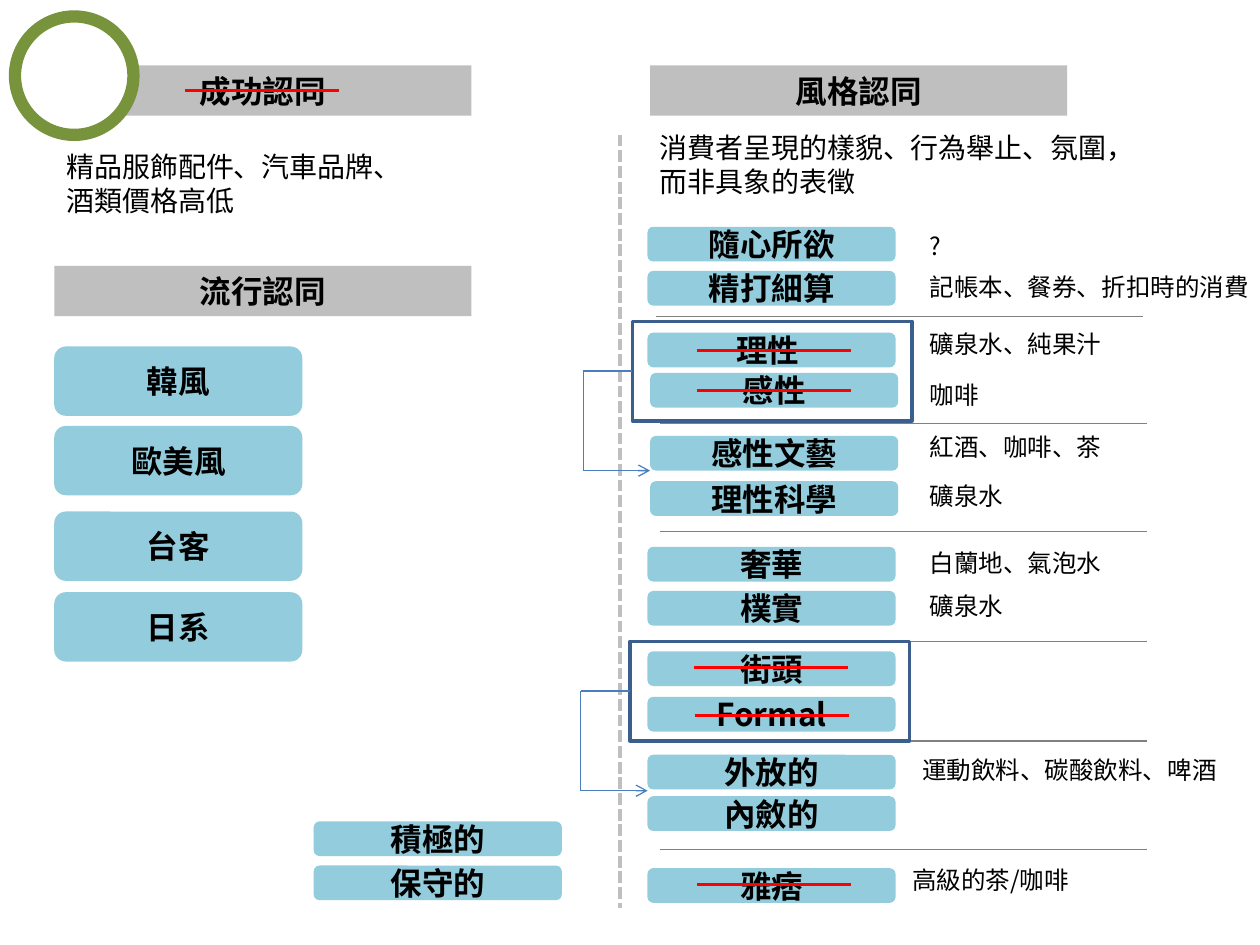
from lxml.etree import SubElement
from pptx import Presentation
from pptx.dml.color import RGBColor
from pptx.enum.dml import MSO_LINE
from pptx.enum.shapes import MSO_CONNECTOR, MSO_SHAPE
from pptx.enum.text import MSO_ANCHOR, PP_ALIGN
from pptx.oxml.ns import qn
from pptx.util import Pt

FONT = "Noto Sans CJK SC"
BLACK, WHITE, RED = "000000", "FFFFFF", "FF0000"
SILVER, GRAY, AQUA, GREEN = "BFBFBF", "808080", "93CDDD", "77933C"
FRAME_BLUE, ARROW_BLUE = "3A5F8C", "4B7EBC"

TAG_WIDTH, SMALL_TAG, LARGE_TAG = 141.8, 19.8, 39.6
FRAME_WIDTH, FRAME_HEIGHT = 159.8, 56.9
STRIKE_WIDTH = 87.8

HEADINGS = [("成功認同", 31, 37.4), ("風格認同", 371.5, 37.4), ("流行認同", 31, 151.9)]
TREND_TAGS = [("韓風", 198), ("歐美風", 243.4), ("台客", 292.3), ("日系", 338.4)]
STYLE_TAGS = [
    ("隨心所欲", 370, 129.6), ("精打細算", 370, 154.8),
    ("理性 ", 370, 190.1), ("感性", 371.5, 213.1),
    ("感性文藝", 371.5, 249.1), ("理性科學", 371.5, 275),
    ("奢華", 370, 312.5), ("樸實", 370, 337.7),
    ("街頭", 370, 372.2), ("Formal", 370, 398.2),
    ("外放的", 370, 431.3), ("內斂的", 370, 455), ("雅痞", 370, 496.1),
    ("積極的", 179.3, 469.4), ("保守的", 179.3, 494.6),
]
NOTES = [
    ("?", 524.2, 128.2, 136), ("記帳本、餐券、折扣時的消費", 524.2, 151.9, 225.4),
    ("礦泉水、純果汁", 524.2, 184.3, 136), ("咖啡", 524.2, 213.8, 136),
    ("紅酒、咖啡、茶", 524.2, 243.4, 136), ("礦泉水", 524.2, 271.4, 136),
    ("白蘭地、氣泡水", 524.2, 309.6, 136), ("礦泉水", 524.2, 334.1, 136),
    ("運動飲料、碳酸飲料、啤酒", 519.8, 427.7, 229.7),
    ("高級的茶/咖啡", 514.1, 491, 136),
]
DESCRIPTIONS = [
    ("精品服飾配件、汽車品牌、酒類價格高低", 31, 82.1, 198.7),
    ("消費者呈現的樣貌、行為舉止、氛圍，而非具象的表徵", 370, 71.3, 290.9),
]
RULES = [(375.1, 180.7), (377.3, 241.9), (377.3, 303.8),
         (377.3, 366.5), (377.3, 423.4), (377.3, 485.3)]
STRIKES = [(105.8, 51.8), (398.2, 200.2), (398.2, 223.2),
           (396.7, 381.6), (397.4, 409), (398.2, 505.4)]
FRAMES = [(361.4, 183.6), (360, 366.5)]


def color(value):
    """Turn a hex string into a colour."""
    return RGBColor.from_string(value)


def apply(target, values):
    """Set every attribute of a format dict on the target."""
    for name, value in values.items():
        setattr(target, name, value)


def write(shape, text, size, bold=False, **frame_format):
    """Write one paragraph of text into a shape."""
    frame = shape.text_frame
    apply(frame, {"word_wrap": True, **frame_format})
    para = frame.paragraphs[0]
    para.alignment = PP_ALIGN.CENTER if bold else PP_ALIGN.LEFT
    span = para.add_run()
    span.text = text
    apply(span.font, {"size": Pt(size), "bold": bold, "name": FONT})
    span.font.color.rgb = color(BLACK)
    SubElement(span.font._element, qn("a:ea"), typeface=FONT)


def add_box(page, kind, bounds, fill=None, line=None, width=0):
    """Add a preset shape with an optional fill and outline."""
    box = page.shapes.add_shape(kind, *map(Pt, bounds))
    box.shadow.inherit = False
    if fill:
        box.fill.solid()
        box.fill.fore_color.rgb = color(fill)
    else:
        box.fill.background()
    if line:
        box.line.color.rgb = color(line)
        box.line.width = Pt(width)
    else:
        box.line.fill.background()
    return box


def add_heading(page, text, left, top):
    """Add a grey heading bar."""
    bar = add_box(page, MSO_SHAPE.RECTANGLE, (left, top, 238.3, 28.8), SILVER)
    write(bar, text, 18, True, vertical_anchor=MSO_ANCHOR.TOP)


def add_tag(page, text, left, top, height):
    """Add a rounded blue tag."""
    bounds = (left, top, TAG_WIDTH, height)
    tag = add_box(page, MSO_SHAPE.ROUNDED_RECTANGLE, bounds, AQUA)
    write(tag, text, 18, True, vertical_anchor=MSO_ANCHOR.MIDDLE)


def add_text(page, text, left, top, width, height, size):
    """Add plain wrapped text."""
    box = page.shapes.add_textbox(*map(Pt, (left, top, width, height)))
    write(box, text, size)


def add_line(page, start, end, stroke, width, dash=None, arrow=False):
    """Add a straight line, dashed or with an arrowhead if asked."""
    line = page.shapes.add_connector(MSO_CONNECTOR.STRAIGHT, *map(Pt, start + end))
    line.line.color.rgb = color(stroke)
    apply(line.line, {"width": Pt(width), "dash_style": dash})
    properties = line._element.spPr
    if arrow:
        SubElement(properties.find(qn("a:ln")), qn("a:tailEnd"), type="arrow")
    SubElement(properties, qn("a:effectLst"))


def add_replacement(page, left, top):
    """Frame a pair of tags and lead an elbow arrow to the pair below."""
    bounds = (left, top, FRAME_WIDTH, FRAME_HEIGHT)
    add_box(page, MSO_SHAPE.RECTANGLE, bounds, line=FRAME_BLUE, width=2)
    middle = top + FRAME_HEIGHT / 2
    corner, target = left - 28.1, middle + FRAME_HEIGHT
    points = [(left, middle), (corner, middle), (corner, target), (left + 10.1, target)]
    for start, end in zip(points, points[1:]):
        add_line(page, start, end, ARROW_BLUE, 0.75, arrow=end == points[-1])


def main():
    """Build the slide and save it."""
    deck = Presentation()
    apply(deck, {"slide_width": Pt(720), "slide_height": Pt(540)})
    page = deck.slides.add_slide(deck.slide_layouts[6])

    add_line(page, (354.2, 77), (354.2, 519.1), SILVER, 2.25, MSO_LINE.SQUARE_DOT)
    for heading in HEADINGS:
        add_heading(page, *heading)
    for text, top in TREND_TAGS:
        add_tag(page, text, 31, top, LARGE_TAG)
    for tag in STYLE_TAGS:
        add_tag(page, *tag, SMALL_TAG)
    for note in NOTES:
        add_text(page, *note, 24.5, 14)
    for description in DESCRIPTIONS:
        add_text(page, *description, 46.1, 16)
    for left, top in RULES:
        add_line(page, (left, top), (left + 278.2, top), GRAY, 0.75)
    add_box(page, MSO_SHAPE.OVAL, (8.6, 9.4, 67.7, 67.7), WHITE, GREEN, 7)
    for frame in FRAMES:
        add_replacement(page, *frame)
    for left, top in STRIKES:
        add_line(page, (left, top), (left + STRIKE_WIDTH, top), RED, 1.5)

    deck.save("out.pptx")


main()
